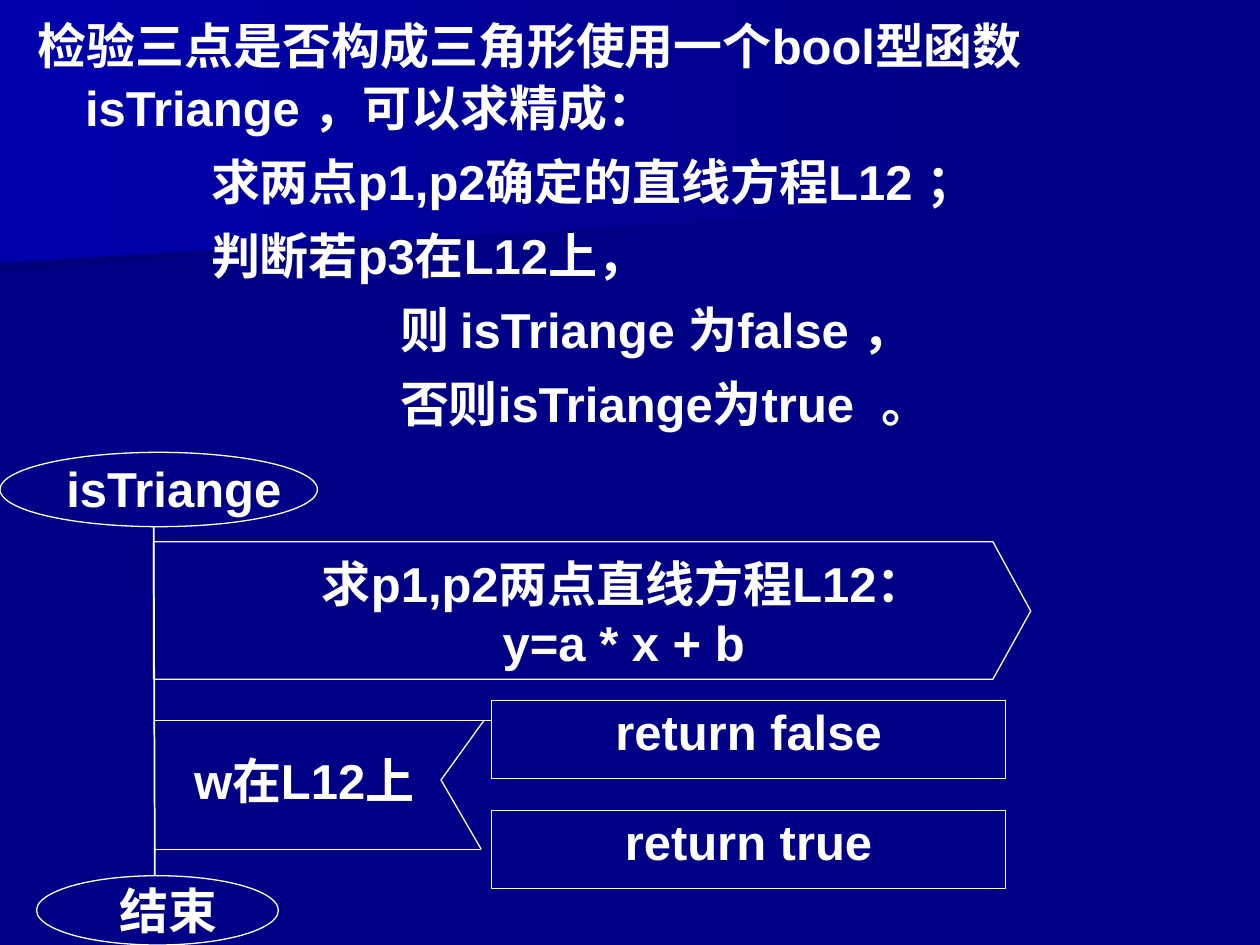
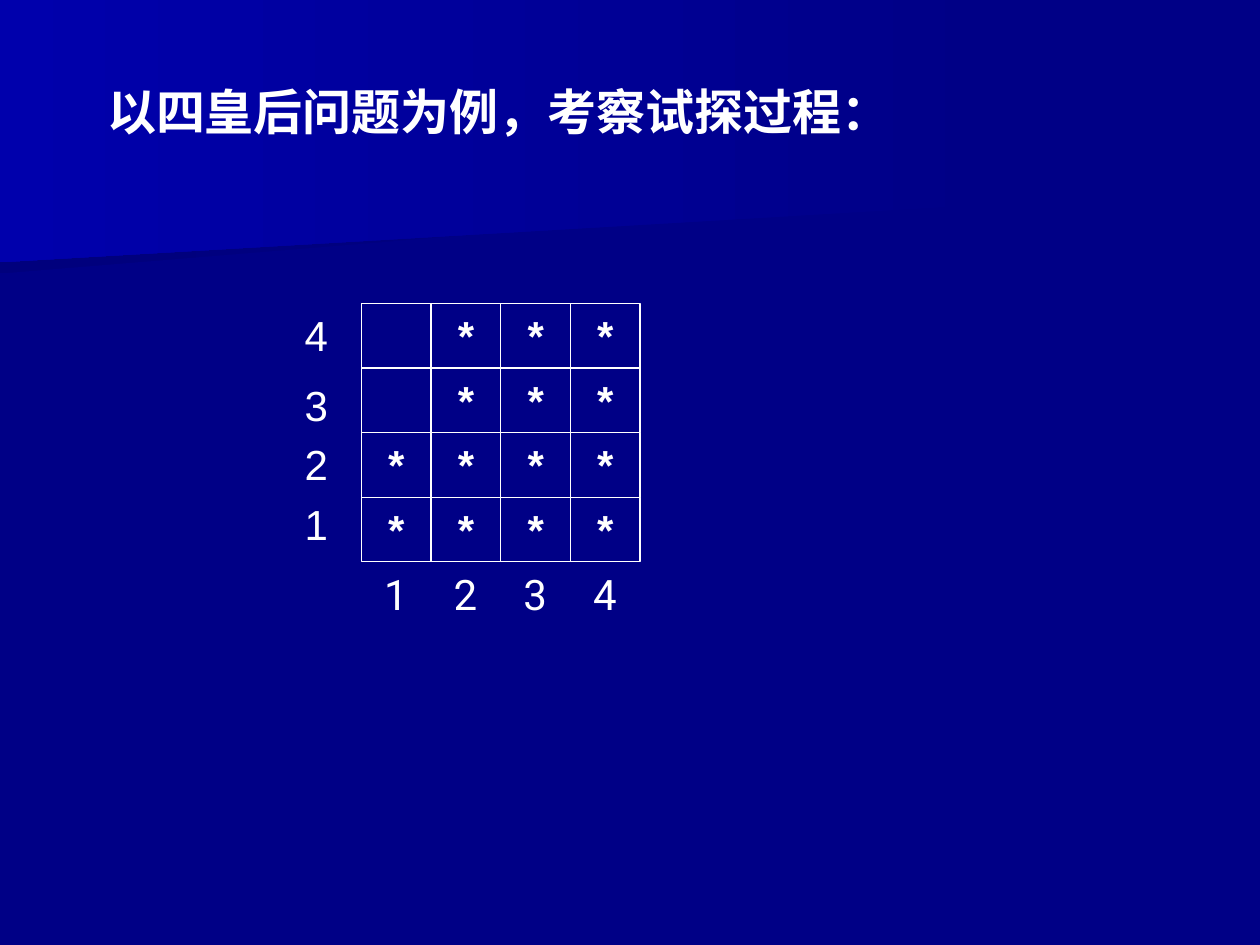
from lxml import etree
from pptx import Presentation
from pptx.dml.color import RGBColor
from pptx.enum.shapes import MSO_CONNECTOR, MSO_SHAPE
from pptx.enum.text import MSO_ANCHOR, MSO_AUTO_SIZE, PP_ALIGN
from pptx.oxml.ns import qn
from pptx.util import Pt

NAVY = RGBColor(0x00, 0x00, 0x86)
DARK_NAVY = RGBColor(0x00, 0x00, 0x7D)
BRIGHT_BLUE = RGBColor(0x00, 0x00, 0xAC)
WHITE = RGBColor(0xFF, 0xFF, 0xFF)

STRAIGHT = MSO_CONNECTOR.STRAIGHT
OVAL, RECTANGLE = MSO_SHAPE.OVAL, MSO_SHAPE.RECTANGLE
LEFT, CENTER = PP_ALIGN.LEFT, PP_ALIGN.CENTER
TOP, NO_AUTOFIT = MSO_ANCHOR.TOP, MSO_AUTO_SIZE.NONE

LINE_WIDTH = 0.75
TEXT_SIZE, CELL_SIZE = 28, 24
TIGHT, ROOMY = (0.72, 0.72), (7.2, 3.6)

# Text, left margin, first-line indent and level
REFINEMENT = [
    ("检验三点是否构成三角形使用一个bool型函数isTriange ，可以求精成：", 27, -27, 0),
    ("求两点p1,p2确定的直线方程L12 ；", 99, 0, 2),
    ("判断若p3在L12上，", 99, 0, 2),
    ("则 isTriange 为false ，", 207, 0, 3),
    ("否则isTriange为true  。", 207, 0, 3),
]
# Rows from the top of the board down
TRIED_SQUARES = [" ***", " ***", "****", "****"]


def place(shape, left, top, width, height):
    shape.left, shape.top = Pt(left), Pt(top)
    shape.width, shape.height = Pt(width), Pt(height)


def write(shape, text, size=TEXT_SIZE, align=CENTER, insets=TIGHT,
          bold=True, font="Arial"):
    frame = shape.text_frame
    frame.text = text
    frame.word_wrap = True
    frame.auto_size = NO_AUTOFIT
    frame.vertical_anchor = TOP
    frame.margin_left = frame.margin_right = Pt(insets[0])
    frame.margin_top = frame.margin_bottom = Pt(insets[1])
    for paragraph in frame.paragraphs:
        paragraph.alignment = align
        for run in paragraph.runs:
            run.font.size = Pt(size)
            run.font.name = font
            run.font.bold = bold
            run.font.color.rgb = WHITE


def add_label(slide, text, left, top, width, height, **style):
    label = slide.shapes.add_textbox(Pt(left), Pt(top), Pt(width), Pt(height))
    write(label, text, **style)


def outline(shape):
    shape.shadow.inherit = False
    shape.fill.background()
    shape.line.color.rgb = WHITE
    shape.line.width = Pt(LINE_WIDTH)


def add_outlined(slide, kind, left, top, width, height):
    shape = slide.shapes.add_shape(kind, Pt(left), Pt(top), Pt(width), Pt(height))
    outline(shape)
    return shape


def add_line(slide, x1, y1, x2, y2, width=LINE_WIDTH):
    line = slide.shapes.add_connector(STRAIGHT, Pt(x1), Pt(y1), Pt(x2), Pt(y2))
    line.line.color.rgb = WHITE
    line.line.width = Pt(width)
    etree.SubElement(line.element.spPr, qn("a:effectLst"))


def add_polygon(slide, points):
    (x, y), *others = [(Pt(px), Pt(py)) for px, py in points]
    builder = slide.shapes.build_freeform(x, y)
    builder.add_line_segments(others, close=True)
    polygon = builder.convert_to_shape()
    polygon.shadow.inherit = False
    return polygon


def decorate_master(master, slide):
    """Set the background and draw the bands on slide, then move them to master."""
    master.background.fill.solid()
    master.background.fill.fore_color.rgb = NAVY
    bands = [
        ([(560.2, 110.2), (0, 156.2), (0, 72.7), (560.9, 72.7), (560.2, 92.2)], DARK_NAVY),
        ([(570.2, 116.6), (0, 149.8), (0, 0), (570.2, 0)], BRIGHT_BLUE),
    ]
    tree = master.shapes.element
    for depth, (points, edge_color) in enumerate(bands):
        band = add_polygon(slide, points)
        band.line.fill.background()
        band.fill.gradient()
        band.fill.gradient_angle = 180
        for stop, color in zip(band.fill.gradient_stops, (NAVY, edge_color)):
            stop.color.rgb = color
        tree.insert(2 + depth, band.element)


def fill_refinement(body, left, top, width, height):
    place(body, left, top, width, height)
    write(body, "\n".join(step[0] for step in REFINEMENT), align=LEFT, insets=ROOMY)
    for number, (paragraph, step) in enumerate(zip(body.text_frame.paragraphs, REFINEMENT)):
        _, margin, indent, level = step
        paragraph.level = level
        properties = paragraph._p.get_or_add_pPr()
        properties.set("marL", str(Pt(margin)))
        properties.set("indent", str(Pt(indent)))
        etree.SubElement(properties, qn("a:buNone"))
        paragraph.line_spacing = 1.05
        paragraph.space_before = Pt(3.5 if number else 0)
        paragraph.space_after = Pt(3.5)


def draw_flowchart(slide, left, top):
    spine = left + 87.8

    add_label(slide, "求p1,p2两点直线方程L12：\ny=a * x + b", left + 99.4, top + 56.9, 514, 73.4)
    step_top, step_bottom = top + 51.1, top + 129.6
    outline(add_polygon(slide, [
        (spine, step_top), (left + 567.4, step_top), (left + 589, top + 90.7),
        (left + 567.4, step_bottom), (spine, step_bottom)]))

    add_label(slide, "isTriange", left, top + 2.9, 198.7, 39.6)
    add_outlined(slide, OVAL, left, top, 181.4, 42.5)
    add_line(slide, spine, top + 42.5, spine + 0.7, top + 241.9, width=1)
    add_label(slide, "结束", left + 20.9, top + 244.1, 151.2, 37.4)
    add_outlined(slide, OVAL, left + 20.9, top + 241.9, 138.2, 39.6)

    yes, no = top + 153.3, top + 226.8
    notch = (left + 252, top + 187.2)
    add_line(slide, spine, yes, left + 280.8, yes)
    add_line(slide, spine, no, left + 275, no)
    add_line(slide, left + 276.5, yes, *notch)
    add_line(slide, left + 275, no, *notch)
    add_label(slide, "w在L12上", spine, top + 169.9, 172, 36.7)
    for result, offset in (("return false", 141.8), ("return true", 204.5)):
        write(add_outlined(slide, RECTANGLE, left + 280.8, top + offset, 293.8, 44.6), result)


def draw_board(slide, left, top):
    cell_width, cell_height = 39.8, 36.9
    for row, squares in enumerate(TRIED_SQUARES):
        for column, mark in enumerate(squares):
            square = add_outlined(slide, RECTANGLE, left + column * cell_width,
                                  top + row * cell_height, cell_width, cell_height)
            if mark == "*":
                write(square, mark, size=CELL_SIZE, insets=ROOMY)

    axis = {"size": CELL_SIZE, "align": LEFT, "insets": ROOMY, "bold": False}
    for column in range(4):
        add_label(slide, str(column + 1), left + 5.8 + column * cell_width,
                  top + 4 * cell_height, 56.9, 36, font="Roboto", **axis)
    for number, offset in zip("4321", (0, 39.6, 73.4, 108)):
        add_label(slide, number, left - 39.6, top + offset, 56.9, 36, **axis)


def build_triangle_slide(slide):
    title = slide.shapes.title.element
    title.getparent().remove(title)
    fill_refinement(slide.placeholders[1], 14.4, 3.6, 668.9, 247)
    draw_flowchart(slide, 0, 258.5)


def build_queens_slide(slide):
    heading = slide.shapes.title
    place(heading, 54, 43.2, 521.3, 41)
    write(heading, "以四皇后问题为例，考察试探过程：", align=LEFT, insets=ROOMY)
    draw_board(slide, 206.6, 173.5)


def main():
    deck = Presentation()
    deck.slide_width, deck.slide_height = Pt(720), Pt(540)
    triangle = deck.slides.add_slide(deck.slide_layouts[1])
    queens = deck.slides.add_slide(deck.slide_layouts[5])
    decorate_master(deck.slide_master, triangle)
    build_triangle_slide(triangle)
    build_queens_slide(queens)
    deck.save("out.pptx")


if __name__ == "__main__":
    main()
